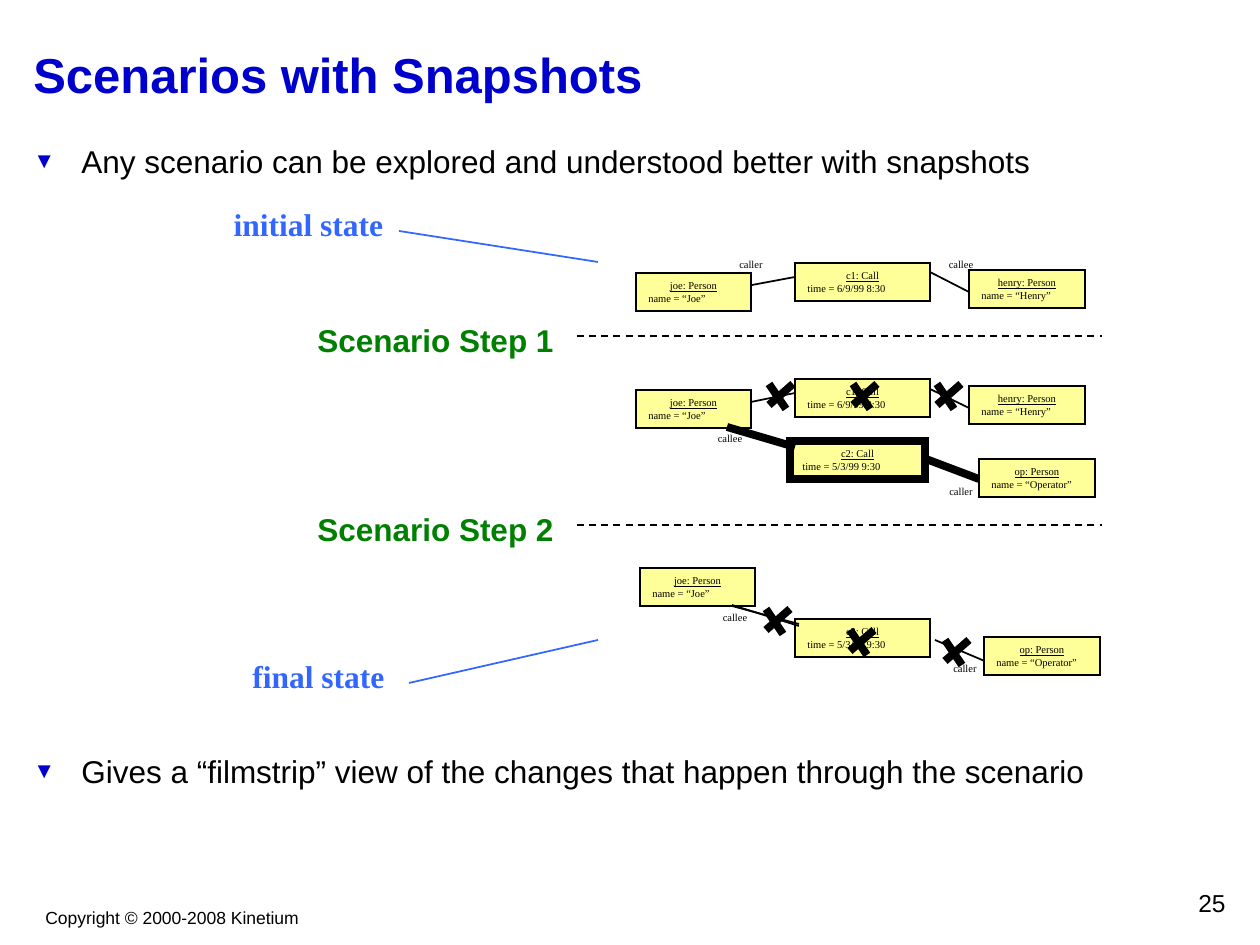
from pptx import Presentation
from pptx.dml.color import RGBColor
from pptx.enum.dml import MSO_LINE
from pptx.enum.shapes import MSO_CONNECTOR, MSO_SHAPE
from pptx.enum.text import MSO_ANCHOR, MSO_AUTO_SIZE, PP_ALIGN
from pptx.oxml.ns import qn
from pptx.util import Pt
from lxml import etree

LEFT, CENTER, RIGHT = PP_ALIGN.LEFT, PP_ALIGN.CENTER, PP_ALIGN.RIGHT
TOP, MIDDLE = MSO_ANCHOR.TOP, MSO_ANCHOR.MIDDLE
FIT_TEXT = MSO_AUTO_SIZE.SHAPE_TO_FIT_TEXT
RECTANGLE, STRAIGHT, DASH = MSO_SHAPE.RECTANGLE, MSO_CONNECTOR.STRAIGHT, MSO_LINE.DASH
PX = 914400 / 126

THEME = {
    "ink": "000000", "callout_line": "3366FF", "object_fill": "FFFF99", "bullet": "0000CC",
    "thin": 1, "thick": 4.5,
    "title": {"name": "Arial", "size": 28, "color": "0000CC", "bold": True},
    "body": {"name": "Arial", "size": 18, "color": "000000"},
    "step": {"name": "Arial", "size": 18, "color": "008000", "bold": True},
    "callout": {"name": "Times New Roman", "size": 18, "color": "3366FF", "bold": True},
    "object": {"name": "Times New Roman", "size": 6, "color": "000000"},
    "object_name": {"name": "Times New Roman", "size": 6, "color": "000000", "underline": True},
    "footer": {"name": "Arial", "size": 10, "color": "000000"},
    "number": {"name": "Arial", "size": 14, "color": "000000"},
}

presentation = Presentation()
presentation.slide_width, presentation.slide_height = int(1260 * PX), int(945 * PX)
slide = presentation.slides.add_slide(presentation.slide_layouts[6])


def add_text(bounds, lines, anchor=TOP, wrap=True, border=None, bullet=None):
    bounds = [round(value * PX) for value in bounds]
    if border:
        shape = slide.shapes.add_shape(RECTANGLE, *bounds)
        shape.shadow.inherit = False
        shape.fill.solid()
        shape.fill.fore_color.rgb = RGBColor.from_string(THEME["object_fill"])
        shape.line.color.rgb = RGBColor.from_string(THEME["ink"])
        shape.line.width = Pt(border)
        etree.SubElement(shape._element.spPr.find(qn("a:ln")), qn("a:miter"), lim="800000")
    else:
        shape = slide.shapes.add_textbox(*bounds)
    frame = shape.text_frame
    frame.word_wrap, frame.vertical_anchor = wrap, anchor
    if not wrap:
        frame.auto_size = FIT_TEXT
        frame.margin_left = frame.margin_right = 0
    for index, (text, style, alignment) in enumerate(lines):
        paragraph = frame.add_paragraph() if index else frame.paragraphs[0]
        paragraph.alignment = alignment
        if bullet:
            properties = paragraph._p.get_or_add_pPr()
            properties.set("marL", str(round(48 * PX)))
            properties.set("indent", str(round(-48 * PX)))
            color = etree.SubElement(properties, qn("a:buClr"))
            etree.SubElement(color, qn("a:srgbClr"), val=THEME["bullet"])
            etree.SubElement(properties, qn("a:buSzPct"), val="70000")
            etree.SubElement(properties, qn("a:buFont"), typeface=THEME[style]["name"])
            etree.SubElement(properties, qn("a:buChar"), char=bullet)
        run = paragraph.add_run()
        run.text = text
        for attribute, value in THEME[style].items():
            if attribute == "color":
                run.font.color.rgb = RGBColor.from_string(value)
            else:
                setattr(run.font, attribute, Pt(value) if attribute == "size" else value)


def add_line(points, width=THEME["thin"], color=THEME["ink"], dash=None):
    connector = slide.shapes.add_connector(STRAIGHT, *[round(value * PX) for value in points])
    connector.line.width = Pt(width)
    connector.line.color.rgb = RGBColor.from_string(color)
    if dash:
        connector.line.dash_style = dash
    etree.SubElement(connector._element.spPr, qn("a:effectLst"))


add_text((33, 901, 278, 34), [("Copyright © 2000-2008 Kinetium", "footer", CENTER)], wrap=False)
add_text((976, 882, 262, 42), [("25", "number", RIGHT)])
add_text((21, 21, 1218, 105), [("Scenarios with Snapshots", "title", LEFT)], MIDDLE)

for bounds, text in [
    ((21, 136, 1155, 126), "Any scenario can be explored and understood better with snapshots"),
    ((21, 746, 1197, 63), "Gives a “filmstrip” view of the changes that happen through the scenario"),
]:
    add_text(bounds, [(text, "body", LEFT)], bullet="▼")

JOE = ("joe: Person", "name = “Joe”", 115)
HENRY = ("henry: Person", "name = “Henry”", 116)
OPERATOR = ("op: Person", "name = “Operator”", 116)
CALL_1 = ("c1: Call", "time = 6/9/99 8:30", 135)
CALL_2 = ("c2: Call", "time = 5/3/99 9:30", 135)
THIN, THICK = THEME["thin"], THEME["thick"]

snapshots = [
    {
        "objects": [(JOE, 636, 273, THIN), (HENRY, 969, 270, THIN), (CALL_1, 795, 263, THIN)],
        "operators": [],
        "labels": [("caller", 727, 252), ("callee", 937, 252)],
        "links": [((752, 285, 795, 277), THIN), ((930, 272, 969, 292), THIN)],
        "crosses": [],
    },
    {
        "objects": [(JOE, 636, 390, THIN), (HENRY, 969, 386, THIN),
                    (CALL_2, 790, 441, THICK), (CALL_1, 795, 379, THIN)],
        "operators": [(OPERATOR, 979, 459, THIN)],
        "labels": [("caller", 937, 479), ("callee", 706, 426)],
        "links": [((751, 402, 795, 393), THIN), ((930, 389, 969, 408), THIN),
                  ((979, 479, 926, 459), THICK), ((795, 447, 727, 427), THICK),
                  ((795, 445, 727, 428), THIN), ((926, 459, 979, 479), THIN)],
        "crosses": [(769, 384), (853, 384), (937, 384)],
    },
    {
        "objects": [(JOE, 640, 568, THIN), (CALL_2, 795, 619, THIN)],
        "operators": [(OPERATOR, 984, 637, THIN)],
        "labels": [("caller", 941, 656), ("callee", 711, 605)],
        "links": [((799, 624, 732, 606), THIN), ((935, 640, 987, 662), THIN),
                  ((799, 626, 732, 605), THIN)],
        "crosses": [(766, 609), (850, 630), (945, 640)],
    },
]

for snapshot in snapshots:
    for layer in ("objects", "operators"):
        for (name, value, width), left, top, border in snapshot[layer]:
            lines = [(name, "object_name", CENTER), (value, "object", LEFT)]
            add_text((left, top, width, 38), lines, MIDDLE, border=border)
        if layer == "objects":
            for text, left, top in snapshot["labels"]:
                add_text((left, top, 48, 25), [(text, "object", CENTER)], MIDDLE, wrap=False)
            for points, width in snapshot["links"]:
                add_line(points, width)
            for left, top in snapshot["crosses"]:
                add_line((left + 24, top, left, top + 21), THICK)
                add_line((left, top, left + 17, top + 25), THICK)

for text, left, top, pointer in [
    ("initial state", 210, 199, (399, 231, 598, 262)),
    ("final state", 220, 651, (409, 683, 598, 640)),
]:
    add_text((left, top, 197, 50), [(text, "callout", CENTER)], MIDDLE)
    add_line(pointer, color=THEME["callout_line"])

for step in (1, 2):
    top = 126 + 189 * step
    add_text((305, top, 262, 50), [(f"Scenario Step {step}", "step", LEFT)])
    add_line((577, top + 21, 1102, top + 21), dash=DASH)

presentation.save("out.pptx")
